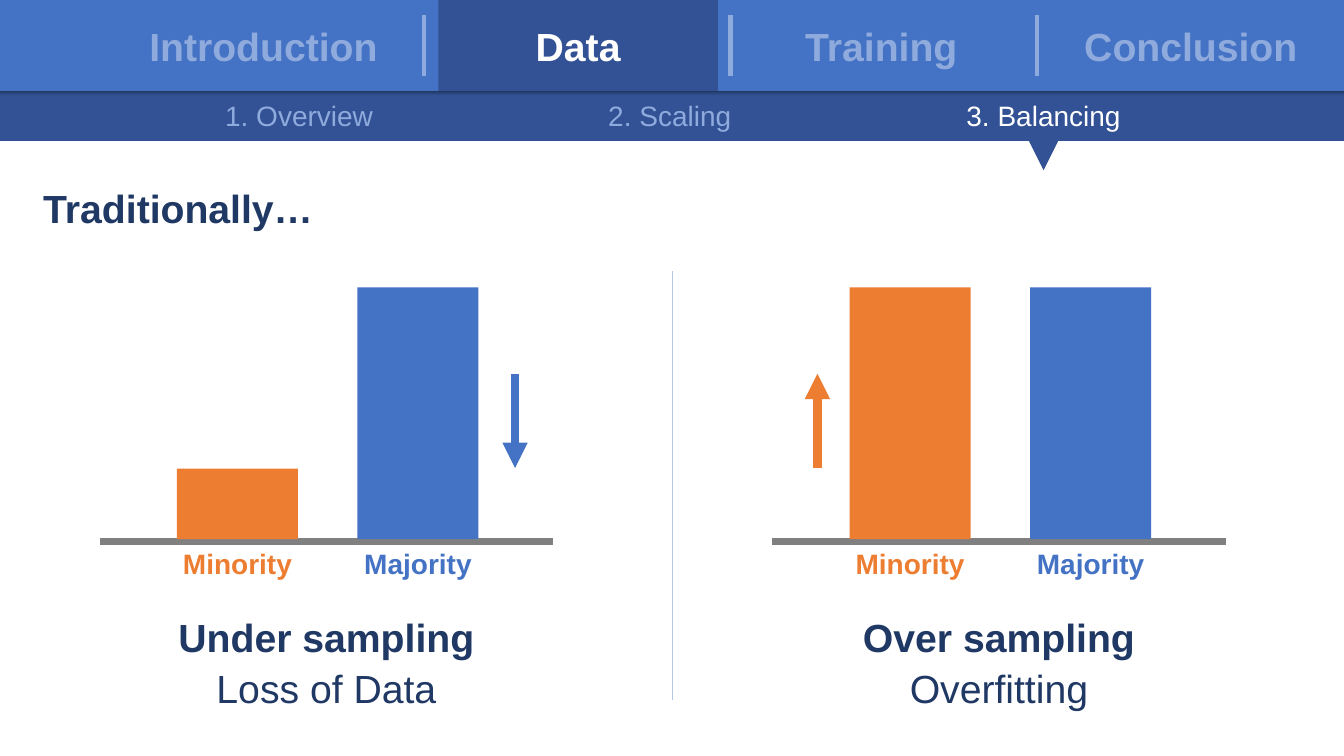
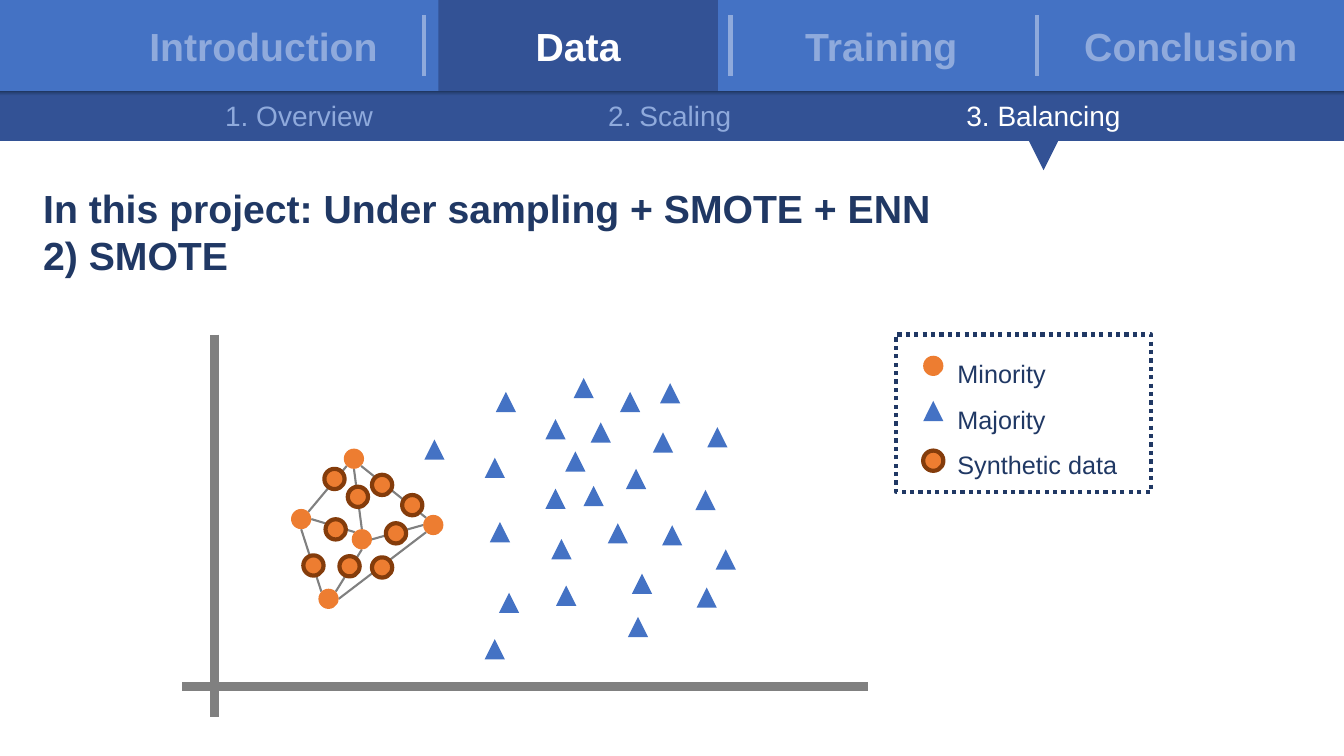
import math
from dataclasses import dataclass
from typing import NamedTuple, Optional

import pptx
import pptx.dml.color
import pptx.enum.dml
import pptx.enum.shapes
import pptx.enum.text
import pptx.oxml.ns
import pptx.shapes.autoshape
import pptx.slide
import pptx.util
from lxml import etree

Cm = pptx.util.Cm
Pt = pptx.util.Pt
Color = pptx.dml.color.RGBColor
Preset = pptx.enum.shapes.MSO_SHAPE
Align = pptx.enum.text.PP_ALIGN
Anchor = pptx.enum.text.MSO_ANCHOR
qn = pptx.oxml.ns.qn


# Theme: colours, font and type sizes
@dataclass(frozen=True)
class Theme:
    blue: Color = Color.from_string("4472C4")
    deep_blue: Color = Color.from_string("335295")
    navy: Color = Color.from_string("203864")
    muted: Color = Color.from_string("8FAADC")
    pale: Color = Color.from_string("B4C7E7")
    orange: Color = Color.from_string("ED7D31")
    brown: Color = Color.from_string("843C0B")
    grey: Color = Color.from_string("808080")
    white: Color = Color.from_string("FFFFFF")
    font: str = "Arial"
    title: float = 28
    label: float = 20
    legend: float = 18


THEME = Theme()
SLIDE_W, SLIDE_H = 33.87, 19.05
TAB_H, SUBTAB_H = 2.29, 1.27


class Box(NamedTuple):
    left: float
    top: float
    width: float
    height: float

    def lengths(self) -> list[pptx.util.Length]:
        return [Cm(value) for value in self]


class Point(NamedTuple):
    x: float
    y: float


class Stroke(NamedTuple):
    color: Color
    width: float
    dotted: bool = False


@dataclass(frozen=True)
class Style:
    size: float
    color: Color
    bold: bool = False
    align: Align = Align.CENTER
    spacing: float = 1.0
    anchor: Anchor = Anchor.TOP


# Drawing helpers
def add_shape(slide: pptx.slide.Slide, preset: Preset, box: Box, fill: Optional[Color],
              stroke: Optional[Stroke] = None) -> pptx.shapes.autoshape.Shape:
    shape = slide.shapes.add_shape(preset, *box.lengths())
    shape.shadow.inherit = False
    if fill is None:
        shape.fill.background()
    else:
        shape.fill.solid()
        shape.fill.fore_color.rgb = fill
    if stroke is None:
        shape.line.fill.background()
    else:
        shape.line.color.rgb = stroke.color
        shape.line.width = Pt(stroke.width)
        if stroke.dotted:
            shape.line.dash_style = pptx.enum.dml.MSO_LINE.ROUND_DOT
    return shape


def add_text(slide: pptx.slide.Slide, box: Box, lines: list[str], style: Style) -> None:
    frame = slide.shapes.add_textbox(*box.lengths()).text_frame
    frame.word_wrap = True
    frame.vertical_anchor = style.anchor
    for index, line in enumerate(lines):
        paragraph = frame.add_paragraph() if index else frame.paragraphs[0]
        paragraph.alignment = style.align
        paragraph.line_spacing = style.spacing
        run = paragraph.add_run()
        run.text = line
        run.font.name = THEME.font
        run.font.size = Pt(style.size)
        run.font.bold = style.bold
        run.font.color.rgb = style.color


def add_line(slide: pptx.slide.Slide, start: Point, end: Point, stroke: Stroke,
             arrow: bool = False) -> None:
    line = slide.shapes.add_connector(
        pptx.enum.shapes.MSO_CONNECTOR.STRAIGHT,
        Cm(start.x), Cm(start.y), Cm(end.x), Cm(end.y))
    line.line.color.rgb = stroke.color
    line.line.width = Pt(stroke.width)
    properties = line._element.spPr
    if arrow:
        etree.SubElement(properties.find(qn("a:ln")), qn("a:tailEnd"), type="triangle")
    etree.SubElement(properties, qn("a:effectLst"))


# Shared frame: tabs, subtabs and heading
class Tab(NamedTuple):
    name: str
    left: float


class Subtab(NamedTuple):
    name: str
    center: float


TABS = [Tab("Introduction", 3.12), Tab("Data", 11.05),
        Tab("Training", 18.69), Tab("Conclusion", 26.49)]
SUBTABS = [Subtab("1. Overview", 7.54), Subtab("2. Scaling", 16.88),
           Subtab("3. Balancing", 26.3)]


def add_navigation(slide: pptx.slide.Slide, active_tab: str, active_subtab: str) -> None:
    add_shape(slide, Preset.RECTANGLE, Box(0, 0, SLIDE_W, TAB_H), THEME.blue)
    subtab_band = add_shape(slide, Preset.RECTANGLE,
                            Box(0, TAB_H, SLIDE_W, SUBTAB_H), THEME.deep_blue)
    subtab_band.fill.gradient()
    subtab_band.fill.gradient_angle = 90
    stops = zip(subtab_band.fill.gradient_stops,
                [(0.9, THEME.deep_blue), (1.0, THEME.navy)])
    for stop, (position, color) in stops:
        stop.position = position
        stop.color.rgb = color

    for index in range(len(TABS) - 1):
        x = 10.69 + 7.72 * index
        add_line(slide, Point(x, 0.38), Point(x, 1.91), Stroke(THEME.muted, 3))

    for tab in TABS:
        box = Box(tab.left, 0, 7.04, TAB_H)
        active = tab.name == active_tab
        if active:
            add_shape(slide, Preset.RECTANGLE, box, THEME.deep_blue)
        color = THEME.white if active else THEME.muted
        add_text(slide, box, [tab.name],
                 Style(THEME.title, color, bold=True, anchor=Anchor.MIDDLE))

    for subtab in SUBTABS:
        active = subtab.name == active_subtab
        if active:
            pointer = add_shape(slide, Preset.ISOSCELES_TRIANGLE,
                                Box(subtab.center - 0.38, 3.53, 0.76, 0.76), THEME.deep_blue)
            pointer.rotation = 180
        color = THEME.white if active else THEME.muted
        add_text(slide, Box(subtab.center - 3, 2.36, 6, 1.12), [subtab.name],
                 Style(THEME.label, color))


def add_content_slide(deck: pptx.presentation.Presentation,
                      heading: list[str]) -> pptx.slide.Slide:
    slide = deck.slides.add_slide(deck.slide_layouts[6])
    add_navigation(slide, "Data", "3. Balancing")
    add_text(slide, Box(0.84, 4.52, 25, 1.32 * len(heading)), heading,
             Style(THEME.title, THEME.navy, bold=True, align=Align.LEFT))
    return slide


# Sampling comparison
class Bar(NamedTuple):
    name: str
    offset: float
    height: float
    color: Color


class Panel(NamedTuple):
    left: float
    method: str
    drawback: str
    minority_height: float
    arrow_offset: float
    arrow_color: Color
    arrow_up: bool


LOW, HIGH = 1.78, 6.35
PANEL_W, BAR_W = 11.43, 3.05
BASELINE, BAR_FOOT = 13.64, 13.59
PANELS = [
    Panel(2.51, "Under sampling", "Loss of Data", LOW, 10.47, THEME.blue, False),
    Panel(19.46, "Over sampling", "Overfitting", HIGH, 1.14, THEME.orange, True),
]


def add_panel(slide: pptx.slide.Slide, panel: Panel) -> None:
    add_line(slide, Point(panel.left, BASELINE), Point(panel.left + PANEL_W, BASELINE),
             Stroke(THEME.grey, 5))
    bars = [Bar("Minority", 1.95, panel.minority_height, THEME.orange),
            Bar("Majority", 6.5, HIGH, THEME.blue)]
    for bar in bars:
        left = panel.left + bar.offset
        add_shape(slide, Preset.RECTANGLE,
                  Box(left, BAR_FOOT - bar.height, BAR_W, bar.height), bar.color)
        add_text(slide, Box(left - 0.2, BASELINE, BAR_W + 0.4, 1.12), [bar.name],
                 Style(THEME.label, bar.color, bold=True))

    arrow_x = panel.left + panel.arrow_offset
    top, bottom = Point(arrow_x, 9.42), Point(arrow_x, 11.79)
    start, end = (bottom, top) if panel.arrow_up else (top, bottom)
    add_line(slide, start, end, Stroke(panel.arrow_color, 6), arrow=True)

    for row, caption in enumerate([panel.method, panel.drawback]):
        add_text(slide, Box(panel.left, 15.34 + 1.27 * row, PANEL_W, 1.45), [caption],
                 Style(THEME.title, THEME.navy, bold=row == 0))


def build_sampling(deck: pptx.presentation.Presentation) -> None:
    slide = add_content_slide(deck, ["Traditionally…"])
    add_line(slide, Point(SLIDE_W / 2, 6.83), Point(SLIDE_W / 2, 17.65),
             Stroke(THEME.pale, 0.25))
    for panel in PANELS:
        add_panel(slide, panel)


# SMOTE scatter: marker centres, and links between compass points of markers
class Marker(NamedTuple):
    preset: Preset
    fill: Color
    stroke: Optional[Stroke] = None


class Link(NamedTuple):
    start: str
    start_side: str
    end: str
    end_side: str


MARKER = 0.51
MINORITY = Marker(Preset.OVAL, THEME.orange)
MAJORITY = Marker(Preset.ISOSCELES_TRIANGLE, THEME.blue)
SYNTHETIC = Marker(Preset.OVAL, THEME.orange, Stroke(THEME.brown, 3))
COMPASS = ["E", "SE", "S", "SW", "W", "NW", "N", "NE"]

MINORITY_POINTS = {
    "top": Point(8.92, 11.56), "left": Point(7.59, 13.08), "middle": Point(9.12, 13.59),
    "right": Point(10.92, 13.23), "bottom": Point(8.28, 15.09),
}
LINKS = [
    Link("right", "SW", "bottom", "E"), Link("left", "NE", "top", "SW"),
    Link("left", "E", "middle", "NW"), Link("left", "S", "bottom", "NW"),
    Link("middle", "S", "bottom", "NE"), Link("right", "NW", "top", "SE"),
    Link("middle", "E", "right", "W"), Link("top", "S", "middle", "N"),
]
SYNTHETIC_POINTS = [
    (8.43, 12.07), (8.46, 13.34), (7.9, 14.25), (9.98, 13.44), (9.63, 14.3),
    (9.63, 12.22), (9.02, 12.52), (10.39, 12.73), (8.81, 14.27),
]
MAJORITY_POINTS = [
    (10.95, 11.33), (12.83, 15.19), (14.27, 15.01), (12.47, 16.36), (14, 12.57),
    (12.47, 11.79), (12.6, 13.41), (12.75, 10.13), (15.88, 10.13), (16.03, 12.07),
    (14, 10.82), (14.5, 11.63), (15.57, 13.44), (15.14, 10.9), (14.71, 9.78),
    (14.96, 12.5), (18.08, 11.02), (16.94, 13.49), (17.78, 12.6), (18.29, 14.1),
    (14.15, 13.84), (16.18, 14.71), (16.71, 11.15), (16.89, 9.91), (17.81, 15.06),
    (16.08, 15.8),
]
LEGEND = [("Minority", MINORITY, 9.22), ("Majority", MAJORITY, 10.36),
          ("Synthetic data", SYNTHETIC, 11.61)]


def add_marker(slide: pptx.slide.Slide, marker: Marker, x: float, y: float) -> None:
    box = Box(x - MARKER / 2, y - MARKER / 2, MARKER, MARKER)
    add_shape(slide, marker.preset, box, marker.fill, marker.stroke)


def edge_point(name: str, side: str) -> Point:
    center = MINORITY_POINTS[name]
    angle = COMPASS.index(side) * math.pi / 4
    return Point(center.x + MARKER / 2 * math.cos(angle),
                 center.y + MARKER / 2 * math.sin(angle))


def build_smote(deck: pptx.presentation.Presentation) -> None:
    slide = add_content_slide(
        deck, ["In this project: Under sampling + SMOTE + ENN", "2) SMOTE"])
    for link in LINKS:
        add_line(slide, edge_point(link.start, link.start_side),
                 edge_point(link.end, link.end_side), Stroke(THEME.grey, 1.5))
    groups = [(SYNTHETIC, SYNTHETIC_POINTS), (MINORITY, MINORITY_POINTS.values()),
              (MAJORITY, MAJORITY_POINTS)]
    for marker, points in groups:
        for x, y in points:
            add_marker(slide, marker, x, y)

    # Axes
    axis = Stroke(THEME.grey, 6)
    add_line(slide, Point(5.41, 8.43), Point(5.41, 18.08), axis)
    add_line(slide, Point(4.6, 17.3), Point(21.87, 17.3), axis)

    # Legend
    add_shape(slide, Preset.RECTANGLE, Box(22.58, 8.43, 6.43, 3.96), None,
              Stroke(THEME.navy, 3, dotted=True))
    add_text(slide, Box(23.88, 8.53, 5, 3.58), [name for name, _, _ in LEGEND],
             Style(THEME.legend, THEME.navy, align=Align.LEFT, spacing=1.5))
    for _, marker, y in LEGEND:
        add_marker(slide, marker, 23.52, y)


def main() -> None:
    deck = pptx.Presentation()
    deck.slide_width, deck.slide_height = Cm(SLIDE_W), Cm(SLIDE_H)
    build_sampling(deck)
    build_smote(deck)
    deck.save("out.pptx")


if __name__ == "__main__":
    main()
